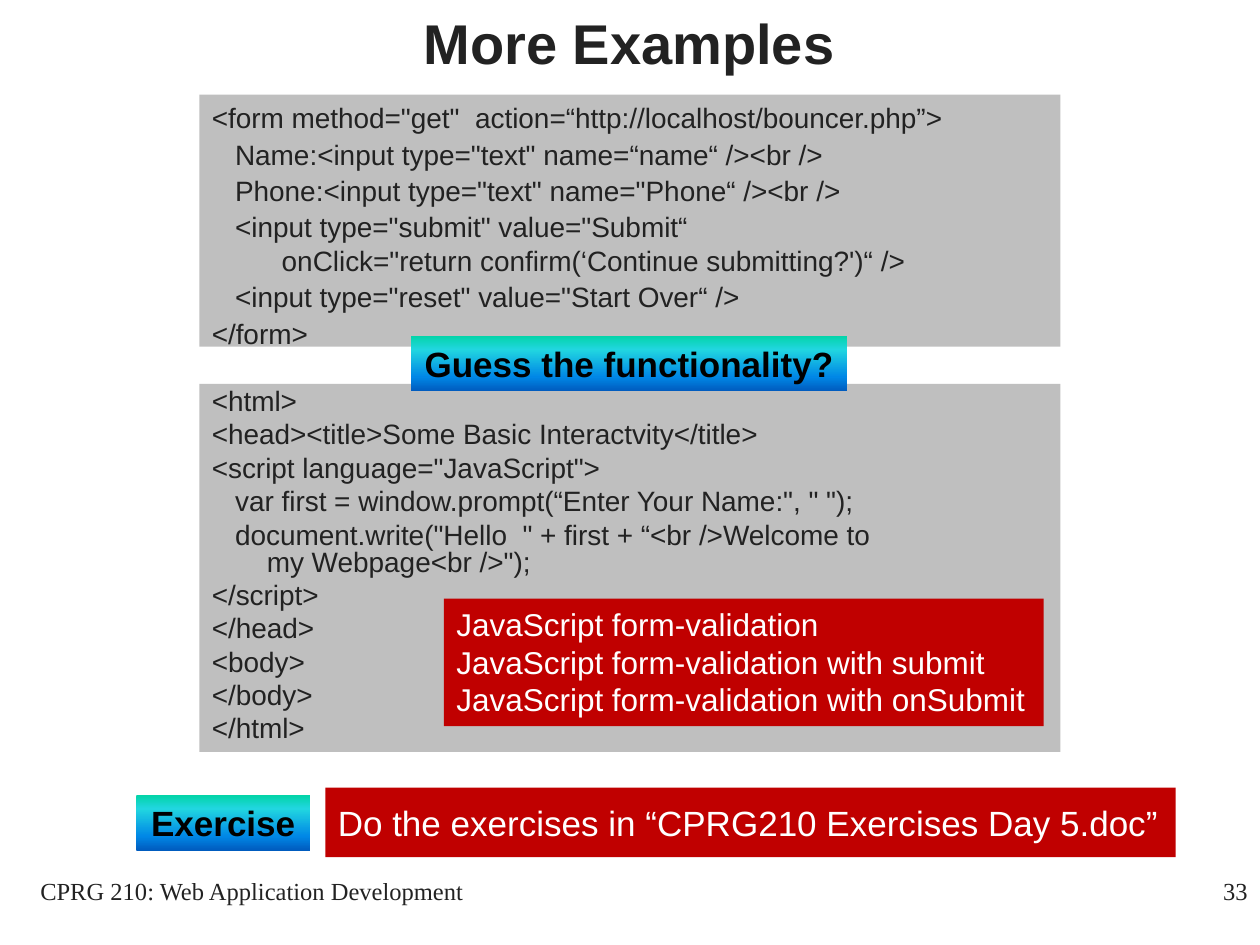
from collections import namedtuple

from lxml.etree import SubElement
from pptx import Presentation
from pptx.dml.color import RGBColor
from pptx.enum.shapes import MSO_SHAPE
from pptx.enum.text import MSO_ANCHOR as Anchor, MSO_AUTO_SIZE as AutoSize, PP_ALIGN as Align
from pptx.oxml.ns import qn
from pptx.util import Cm, Pt

COLORS = {"text": "222222", "black": "000000", "white": "FFFFFF",
          "panel": "BFBFBF", "red": "C00000"}
BADGE_STOPS = [(0, "03D4A8"), (25, "21D6E0"), (75, "0087E6"), (100, "005CBF")]
CODE_INDENT = 0.47  # cm

Box = namedtuple("Box", "left top width height")

FORM_CODE = [  # (indented, lines of one statement)
    (False, ['<form method="get"  action=“http://localhost/bouncer.php”>']),
    (True, ['Name:<input type="text" name=“name“ /><br />']),
    (True, ['Phone:<input type="text" name="Phone“ /><br />']),
    (True, ['<input type="submit" value="Submit“',
            'onClick="return confirm(‘Continue submitting?\')“ />']),
    (True, ['<input type="reset" value="Start Over“ />']),
    (False, ['</form>']),
]
SCRIPT_CODE = [
    (False, ['<html>']),
    (False, ['<head><title>Some Basic Interactvity</title>']),
    (False, ['<script language="JavaScript">']),
    (True, ['var first = window.prompt(“Enter Your Name:", " ");']),
    (True, ['document.write("Hello  " + first + “<br />Welcome to',
            'my Webpage<br />");']),
    (False, ['</script>']),
    (False, ['</head>']),
    (False, ['<body>']),
    (False, ['</body>']),
    (False, ['</html>']),
]
TOPICS = ["JavaScript form-validation",
          "JavaScript form-validation with submit",
          "JavaScript form-validation with onSubmit"]


def rgb(name):
    return RGBColor.from_string(COLORS[name])


def in_cm(box):
    return [Cm(length) for length in box]


def add_span(para, text, size, color="text", font="Arial", bold=False):
    span = para.add_run()
    span.text = text
    span.font.name, span.font.size, span.font.bold = font, Pt(size), bold
    span.font.color.rgb = rgb(color)


def paragraphs(frame, count):
    """Return the first paragraph of the frame and enough new ones."""
    return [frame.paragraphs[0]] + [frame.add_paragraph() for _ in range(count - 1)]


def add_panel(page, box, fill=None, anchor=Anchor.TOP):
    """Add a borderless rectangle, and leave its fill alone when none is named."""
    panel = page.shapes.add_shape(MSO_SHAPE.RECTANGLE, *in_cm(box))
    panel.shadow.inherit = False
    panel.line.fill.background()
    if fill:
        panel.fill.solid()
        panel.fill.fore_color.rgb = rgb(fill)
    panel.text_frame.vertical_anchor = anchor
    return panel


def add_title(page, box, text):
    title = page.shapes.title
    title.left, title.top, title.width, title.height = in_cm(box)
    title.text_frame.vertical_anchor = Anchor.MIDDLE
    para = title.text_frame.paragraphs[0]
    para.alignment = Align.CENTER
    add_span(para, text, 32, bold=True)


def add_code(page, box, code, wrap_indent, space_before, line_spacing):
    """Add a code listing whose continuation lines start at wrap_indent."""
    frame = add_panel(page, box, "panel").text_frame
    for para, (indented, lines) in zip(paragraphs(frame, len(code)), code):
        para.alignment = Align.LEFT
        para.space_before = Pt(space_before)
        para.line_spacing = line_spacing
        if indented:
            props = para._p.get_or_add_pPr()
            props.set("marL", str(Cm(wrap_indent)))
            props.set("indent", str(Cm(CODE_INDENT - wrap_indent)))
        for number, line in enumerate(lines):
            if number:
                para.add_line_break()
            add_span(para, line, 16)


def add_badge(page, box, text):
    """Add a bold label on a vertical blue-green gradient."""
    badge = add_panel(page, box)
    badge.fill.gradient()
    badge.fill.gradient_angle = 270
    stops = badge.element.spPr.find(qn("a:gradFill")).find(qn("a:gsLst"))
    for stop in list(stops):
        stops.remove(stop)
    for position, color in BADGE_STOPS:
        stop = SubElement(stops, qn("a:gs"), pos=str(position * 1000))
        SubElement(stop, qn("a:srgbClr"), val=color)
    badge.text_frame.auto_size = AutoSize.SHAPE_TO_FIT_TEXT
    para = badge.text_frame.paragraphs[0]
    para.alignment = Align.CENTER
    add_span(para, text, 20, "black", bold=True)


def add_topics(page, box, topics):
    frame = add_panel(page, box, "red").text_frame
    frame.word_wrap = False
    frame.auto_size = AutoSize.SHAPE_TO_FIT_TEXT
    for para, topic in zip(paragraphs(frame, len(topics)), topics):
        para.alignment = Align.LEFT
        add_span(para, topic, 18, "white")


def add_exercise(page, box, label, task):
    """Add the exercise badge with its task beside it."""
    badge_width, badge_height, task_offset = 3.5, 1.11, 3.81
    add_badge(page, Box(box.left, box.top + 0.15, badge_width, badge_height), label)
    task_box = Box(box.left + task_offset, box.top, box.width - task_offset, box.height)
    panel = add_panel(page, task_box, "red", Anchor.MIDDLE)
    para = panel.text_frame.paragraphs[0]
    para.alignment = Align.LEFT
    add_span(para, task, 20, "white")


def add_footer(page, box, course, number):
    """Add the course name at the left and the page number at the right."""
    course_width, number_width = 10.16, 5.28
    number_left = box.left + box.width - number_width
    for left, width, text, align in [
            (box.left, course_width, course, Align.CENTER),
            (number_left, number_width, number, Align.RIGHT)]:
        note = page.shapes.add_textbox(*in_cm(Box(left, box.top, width, box.height)))
        note.text_frame.word_wrap = True
        para = note.text_frame.paragraphs[0]
        para.alignment = align
        add_span(para, text, 14, font="Times New Roman")


def main():
    deck = Presentation()
    deck.slide_width, deck.slide_height = Cm(25.4), Cm(19.05)
    page = deck.slides.add_slide(deck.slide_layouts[5])
    add_title(page, Box(1.47, -0.74, 22.43, 3.18), "More Examples")
    add_exercise(page, Box(2.75, 15.88, 20.95, 1.4), "Exercise",
                 "Do the exercises in “CPRG210 Exercises Day 5.doc”")
    add_footer(page, Box(0, 17.54, 25.4, 1.27),
               "CPRG 210: Web Application Development", "33")
    add_code(page, Box(4.02, 1.91, 17.36, 5.08), FORM_CODE, 1.41, 1.6, 1.0)
    add_code(page, Box(4.02, 7.74, 17.36, 7.42), SCRIPT_CODE, 1.11, 3.7, 0.8)
    add_badge(page, Box(8.29, 6.77, 8.79, 1.11), "Guess the functionality?")
    add_topics(page, Box(8.95, 12.07, 12.09, 2.57), TOPICS)
    deck.save("out.pptx")


if __name__ == "__main__":
    main()
